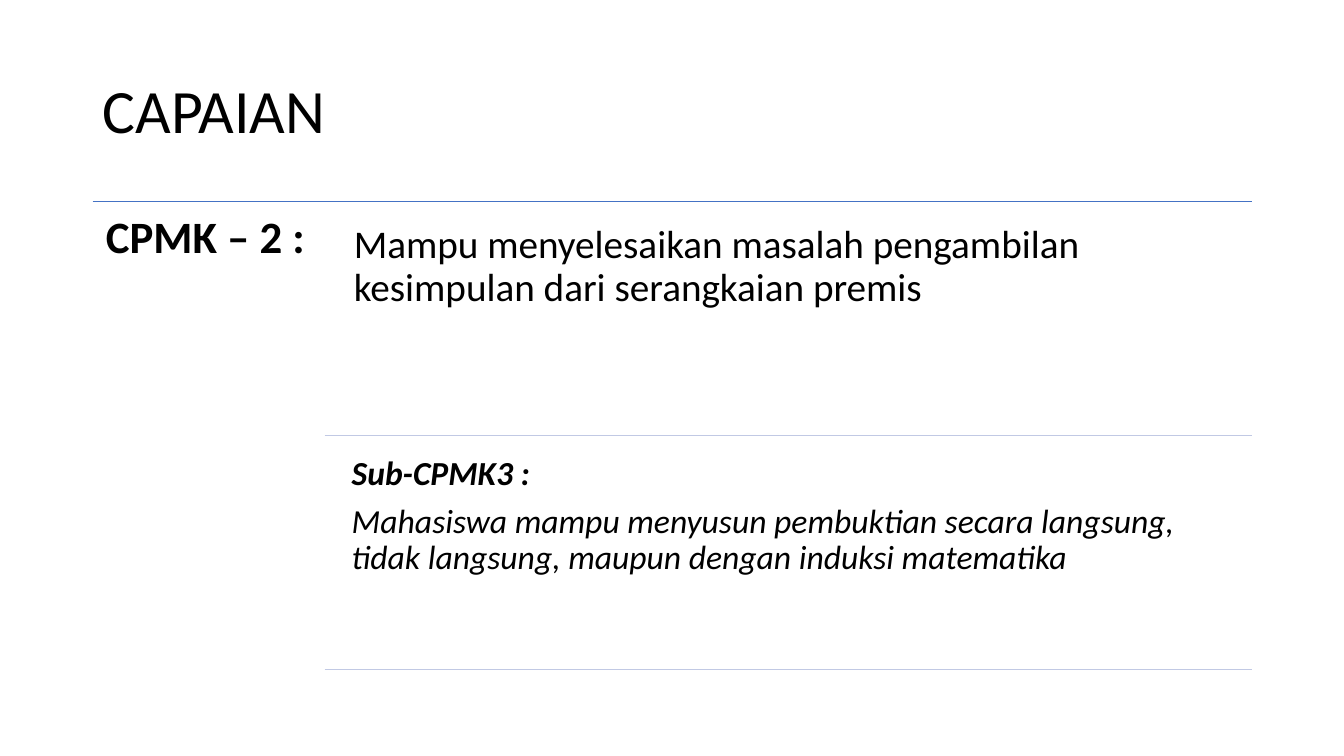
from pptx import Presentation
from pptx.dml.color import RGBColor
from pptx.enum.shapes import MSO_CONNECTOR
from pptx.enum.text import MSO_ANCHOR, MSO_AUTO_SIZE, PP_ALIGN
from pptx.oxml.ns import qn
from pptx.util import Inches, Pt
from lxml import etree

STRAIGHT = MSO_CONNECTOR.STRAIGHT
TOP, MIDDLE = MSO_ANCHOR.TOP, MSO_ANCHOR.MIDDLE
NO_FIT = MSO_AUTO_SIZE.NONE
LEFT = PP_ALIGN.LEFT

MARGIN, RIGHT = 0.92, 12.42
BRANCH, TEXT_LEFT = 3.22, 3.39
RULE_TOP, ROW_HEIGHT, ROW_GAP = 2, 2.21, 0.11


def colour(value):
    """Turn a hex string into a colour."""
    return RGBColor.from_string(value)


class OutcomeSlide:
    """Hold the style and the current slide, and draw its elements."""

    font = "Calibri"
    ink = "000000"
    main_rule = "4472C4"
    row_rule = "C1C9E4"

    def __init__(self, deck):
        """Add a title-only slide to the deck."""
        self.page = deck.slides.add_slide(deck.slide_layouts[5])

    def fill_text(self, box, paragraphs, size, inset=(0.1, 0.05), anchor=TOP, after=0.35):
        """Fill a text shape with paragraphs given as text and font values."""
        frame = box.text_frame
        across, down = map(Inches, inset)
        layout = {"word_wrap": True, "auto_size": NO_FIT, "vertical_anchor": anchor,
                  "margin_left": across, "margin_right": across,
                  "margin_top": down, "margin_bottom": down}
        for name, value in layout.items():
            setattr(frame, name, value)
        for index, (text, look) in enumerate(paragraphs):
            para = frame.paragraphs[0] if index == 0 else frame.add_paragraph()
            spacing = {"alignment": LEFT, "line_spacing": 0.9,
                       "space_before": Pt(0), "space_after": Pt(size * after)}
            for name, value in spacing.items():
                setattr(para, name, value)
            span = para.add_run()
            span.text = text
            for name, value in {"name": self.font, "size": Pt(size), **look}.items():
                setattr(span.font, name, value)
            span.font.color.rgb = colour(self.ink)

    def title(self, text, left, top, width, height, size):
        """Place and format the title placeholder."""
        box = self.page.shapes.title
        place = {"left": left, "top": top, "width": width, "height": height}
        for name, value in place.items():
            setattr(box, name, Inches(value))
        self.fill_text(box, [(text, {})], size, anchor=MIDDLE, after=0)

    def text(self, paragraphs, left, top, width, height, size, inset):
        """Add a text box."""
        box = self.page.shapes.add_textbox(*map(Inches, (left, top, width, height)))
        self.fill_text(box, paragraphs, size, (inset, inset))

    def rule(self, left, top, shade):
        """Add a horizontal line that runs to the right margin."""
        line = self.page.shapes.add_connector(
            STRAIGHT, *map(Inches, (left, top, RIGHT, top)))
        line.line.color.rgb = colour(shade)
        line.line.width = Pt(1)
        etree.SubElement(line._element.spPr, qn("a:effectLst"))


def main():
    """Build the slide and save it."""
    deck = Presentation()
    deck.slide_width, deck.slide_height = Inches(13.33), Inches(7.5)
    slide = OutcomeSlide(deck)
    slide.title("CAPAIAN", MARGIN, 0.4, RIGHT - MARGIN, 1.45, 44)
    slide.rule(MARGIN, RULE_TOP, slide.main_rule)
    slide.text([("CPMK – 2 :", {"bold": True})],
               MARGIN, RULE_TOP, BRANCH - MARGIN, 4.76, 32, 0.13)

    rows = [
        ([("Mampu menyelesaikan masalah pengambilan kesimpulan dari serangkaian premis",
           {})], 28, 0.12),
        ([("Sub-CPMK3 :", {"bold": True, "italic": True}),
          ("Mahasiswa mampu menyusun pembuktian secara langsung, tidak langsung, "
           "maupun dengan induksi matematika", {"italic": True})], 24, 0.1),
    ]
    for index, (paragraphs, size, inset) in enumerate(rows):
        top = RULE_TOP + ROW_GAP + index * (ROW_HEIGHT + ROW_GAP)
        slide.text(paragraphs, TEXT_LEFT, top, RIGHT - TEXT_LEFT, ROW_HEIGHT, size, inset)
        slide.rule(BRANCH, top + ROW_HEIGHT, slide.row_rule)
    deck.save("out.pptx")


if __name__ == "__main__":
    main()
